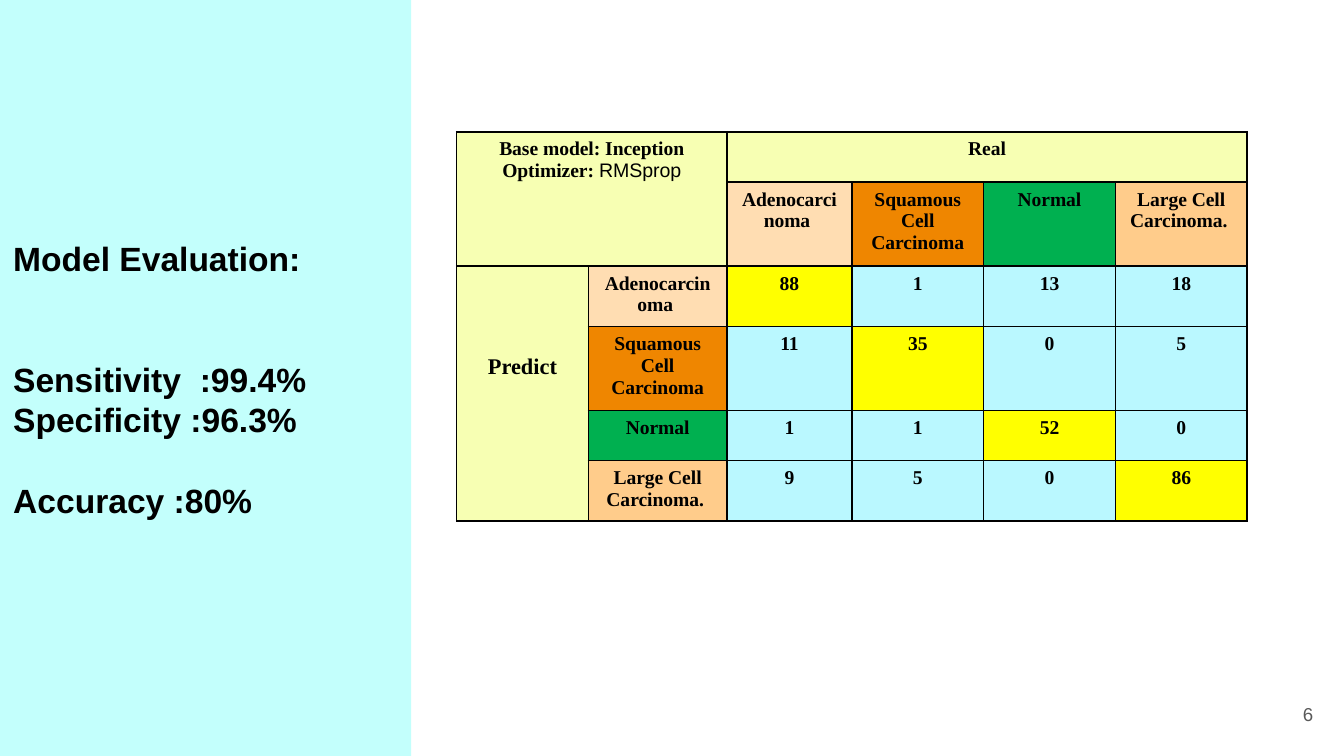
from lxml.etree import SubElement
from pptx import Presentation
from pptx.dml.color import RGBColor as RGB
from pptx.enum.shapes import MSO_SHAPE as SHAPE
from pptx.enum.text import MSO_ANCHOR as ANCHOR, PP_ALIGN as ALIGN
from pptx.oxml.ns import qn
from pptx.util import Cm, Pt

COLORS = {
    "panel": "C3FFFC", "text": "000000", "number": "595959",
    "header": "F7FFB3", "adeno": "FFDDB2", "squamous": "EF8600",
    "normal": "00B050", "large": "FFCC8B", "hit": "FFFF00", "miss": "BAF8FF",
}
PANEL_FONT = {"name": "Arial", "size": Pt(18), "bold": True}
NUMBER_FONT = {"name": "Arial", "size": Pt(10), "bold": False}
CELL_FONT = {"name": "Times New Roman", "size": Pt(10.5), "bold": True}
PREDICT_FONT = {**CELL_FONT, "size": Pt(12)}
OPTIMIZER_FONT = {**CELL_FONT, "name": "Arial", "bold": False}

LINE = 21.6
METRICS = [
    ("Model Evaluation:", 0),
    ("Sensitivity  :99.4%", 2),
    ("Specificity :96.3%", 0),
    ("Accuracy :80%", 1),
]
CLASSES = [
    ("Adenocarcinoma ", "adeno"),
    ("Squamous Cell Carcinoma", "squamous"),
    ("Normal", "normal"),
    ("Large Cell Carcinoma. ", "large"),
]
COUNTS = [[88, 1, 13, 18], [11, 35, 0, 5], [1, 1, 52, 0], [9, 5, 0, 86]]
COL_WIDTHS = [2.49, 2.62, 2.36, 2.49, 2.49, 2.49]
ROW_HEIGHTS = [0.95, 1.5, 1.08, 1.48, 0.95, 1.08]


def add_run(p, text, font, color="text"):
    r = p.add_run()
    r.text = text
    for name, value in font.items():
        setattr(r.font, name, value)
    r.font.color.rgb = RGB.from_string(COLORS[color])


def set_frame(tf):
    tf.word_wrap = True
    tf.vertical_anchor = ANCHOR.MIDDLE
    for side in ("left", "top", "right", "bottom"):
        setattr(tf, f"margin_{side}", Cm(0.25))


def add_panel(s, x, y, w, h):
    sp = s.shapes.add_shape(SHAPE.RECTANGLE, Cm(x), Cm(y), Cm(w), Cm(h))
    sp.shadow.inherit = False
    sp.fill.solid()
    sp.fill.fore_color.rgb = RGB.from_string(COLORS["panel"])
    sp.line.fill.background()
    tf = sp.text_frame
    set_frame(tf)
    for i, (text, gap) in enumerate(METRICS):
        p = tf.add_paragraph() if i else tf.paragraphs[0]
        p.alignment = ALIGN.LEFT
        p.line_spacing = Pt(LINE)
        p.space_before = Pt(gap * LINE)
        add_run(p, text, PANEL_FONT)


def add_number(s, x, y, w, h):
    tf = s.shapes.add_textbox(Cm(x), Cm(y), Cm(w), Cm(h)).text_frame
    set_frame(tf)
    p = tf.paragraphs[0]
    p.alignment = ALIGN.RIGHT
    add_run(p, "6", NUMBER_FONT, "number")


def add_borders(cell):
    tc_pr = cell._tc.get_or_add_tcPr()
    for side in ("lnL", "lnR", "lnT", "lnB"):
        ln = SubElement(tc_pr, qn(f"a:{side}"), w=str(Pt(1)))
        fill = SubElement(ln, qn("a:solidFill"))
        SubElement(fill, qn("a:srgbClr"), val=COLORS["text"])


def fill_cell(cell, text, color, font=CELL_FONT):
    cell.fill.solid()
    cell.fill.fore_color.rgb = RGB.from_string(COLORS[color])
    p = cell.text_frame.paragraphs[0]
    p.alignment = ALIGN.CENTER
    add_run(p, text, font)


def add_matrix(s, x, y):
    size = len(CLASSES) + 2
    w, h = sum(COL_WIDTHS), sum(ROW_HEIGHTS)
    frame = s.shapes.add_table(size, size, Cm(x), Cm(y), Cm(w), Cm(h))
    table = frame.table
    table.first_row = table.horz_banding = False
    for col, width in zip(table.columns, COL_WIDTHS):
        col.width = Cm(width)
    for row, height in zip(table.rows, ROW_HEIGHTS):
        row.height = Cm(height)
    for cell in table.iter_cells():
        add_borders(cell)

    model, real, predict = table.cell(0, 0), table.cell(0, 2), table.cell(2, 0)
    model.merge(table.cell(1, 1))
    real.merge(table.cell(0, size - 1))
    predict.merge(table.cell(size - 1, 0))

    fill_cell(model, "Base model: Inception", "header")
    p = model.text_frame.add_paragraph()
    p.alignment = ALIGN.CENTER
    add_run(p, "Optimizer: ", CELL_FONT)
    add_run(p, "RMSprop", OPTIMIZER_FONT)
    fill_cell(real, "Real", "header")
    fill_cell(predict, "Predict", "header", PREDICT_FONT)
    predict.margin_top = Cm(1.68)

    for i, (name, color) in enumerate(CLASSES):
        fill_cell(table.cell(1, i + 2), name, color)
        fill_cell(table.cell(i + 2, 1), name, color)
        for j, count in enumerate(COUNTS[i]):
            kind = "hit" if i == j else "miss"
            fill_cell(table.cell(i + 2, j + 2), str(count), kind)


def main():
    prs = Presentation()
    prs.slide_width, prs.slide_height = Cm(25.4), Cm(14.29)
    s = prs.slides.add_slide(prs.slide_layouts[6])
    add_panel(s, 0, 0, 7.77, 14.33)
    add_number(s, 23.55, 12.95, 1.52, 1.09)
    add_matrix(s, 8.63, 2.49)
    prs.save("out.pptx")


if __name__ == "__main__":
    main()
